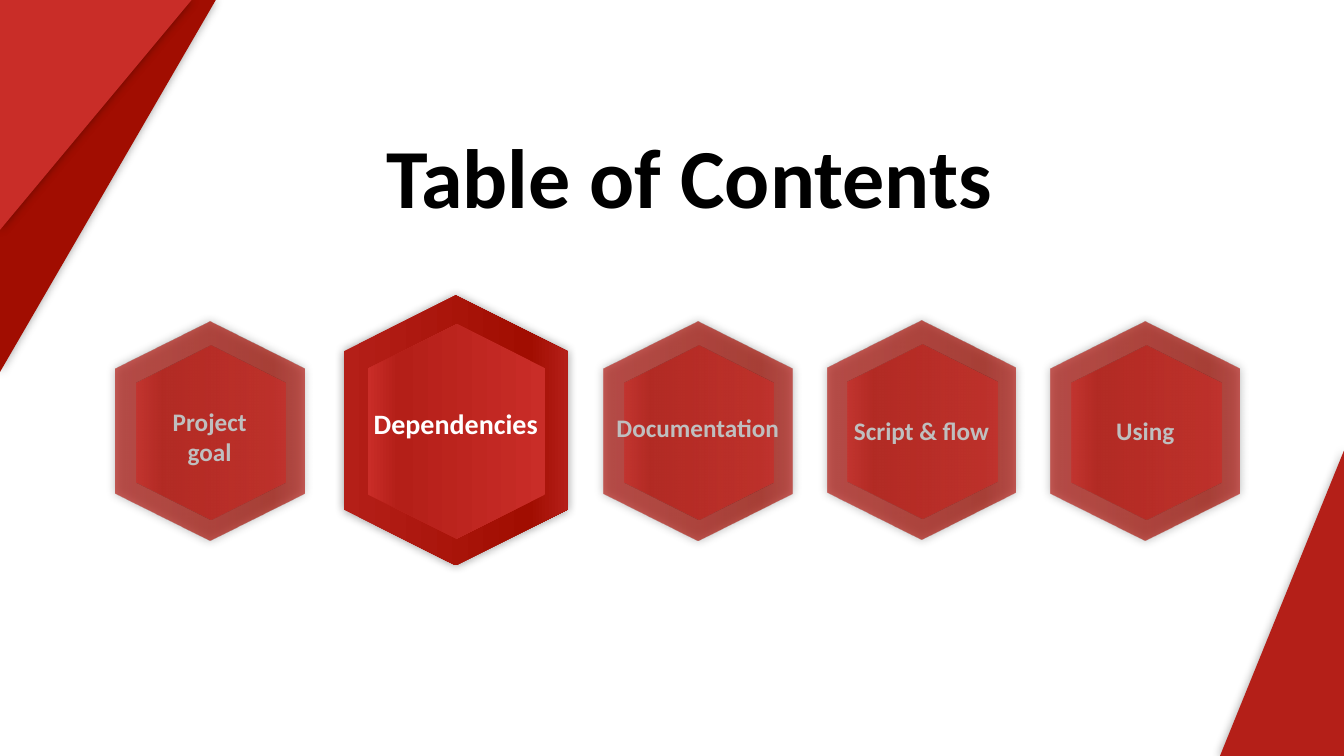
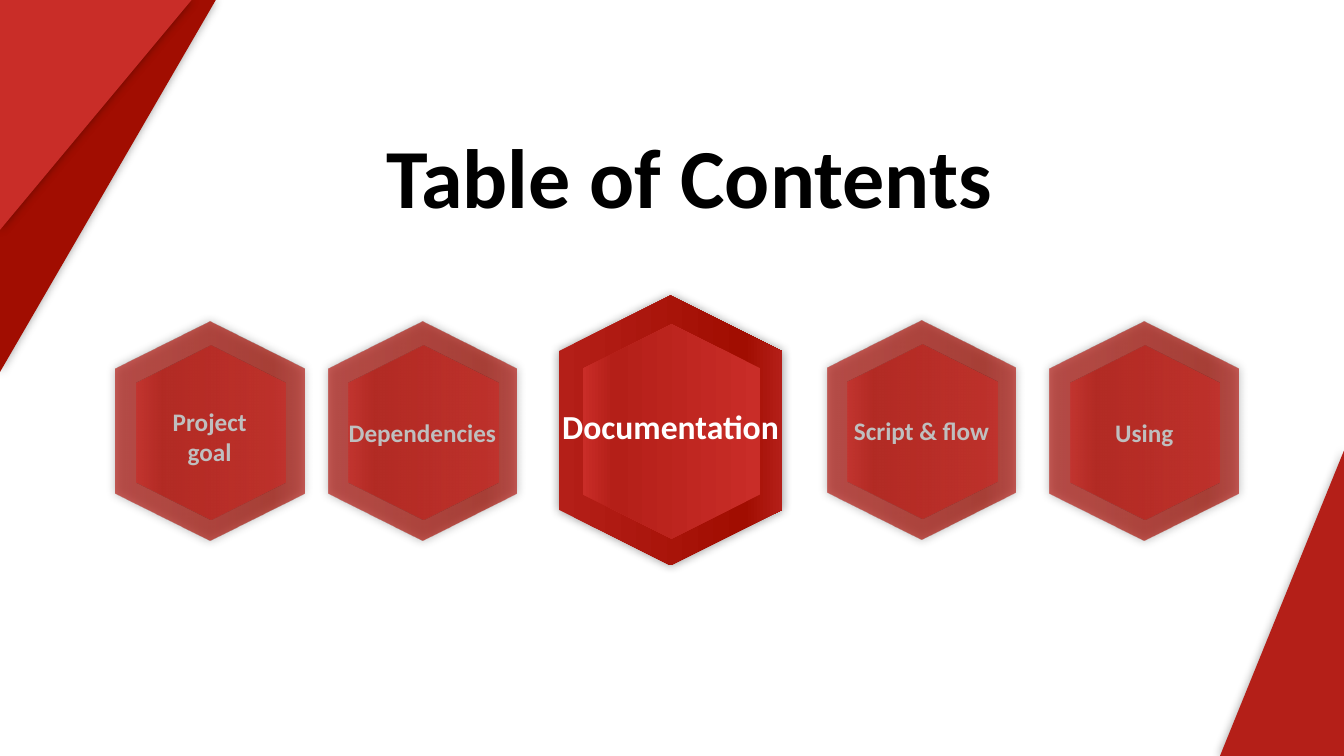
from lxml import etree
from pptx import Presentation
from pptx.dml.color import RGBColor
from pptx.enum.shapes import MSO_SHAPE
from pptx.enum.text import PP_ALIGN
from pptx.oxml.ns import qn
from pptx.util import Inches, Pt

HEXAGON = MSO_SHAPE.HEXAGON
TRIANGLE = MSO_SHAPE.ISOSCELES_TRIANGLE
CENTER = PP_ALIGN.CENTER

FONT = "Calibri"
COLORS = {
    "dark": "A10D01",
    "mid": "B41F18",
    "bright": "C92D28",
    "title": "000000",
    "active_text": "FFFFFF",
    "muted_text": "BFBFBF",
}

# Gradient pairs: edge colour, accent colour at 83 %
OUTER = ("mid", "dark")
INNER = ("bright", "mid")

# Hexagon sizes before rotation: (length, width)
ACTIVE_SIZES = ((2.68, 2.22), (2.13, 1.76))
MUTED_SIZES = ((2.17, 1.87), (1.72, 1.48))
INNER_SHIFT = 0.01

# Corner triangles: left, top, width, height, rotation, colour
CORNERS = [
    (0, 0, 2.14, 3.69, 180, "dark"),
    (0, 0, 1.9, 2.28, 180, "bright"),
    (12.1, 4.47, 1.23, 3.03, 0, "mid"),
]

# Agenda per slide: lines, centre x, centre y, text top, text size, active
PROJECT_GOAL = (["Project", "goal"], 2.08, 4.28, 3.98, 18, False)
AGENDAS = [
    [
        PROJECT_GOAL,
        (["Dependencies"], 4.52, 4.27, 3.98, 20, True),
        (["Documentation"], 6.92, 4.28, 4.04, 18, False),
        (["Script & flow"], 9.14, 4.27, 4.07, 18, False),
        (["Using"], 11.36, 4.28, 4.07, 18, False),
    ],
    [
        PROJECT_GOAL,
        (["Dependencies"], 4.19, 4.28, 4.09, 18, False),
        (["Documentation"], 6.65, 4.27, 3.98, 24, True),
        (["Script & flow"], 9.14, 4.27, 4.07, 18, False),
        (["Using"], 11.35, 4.28, 4.09, 18, False),
    ],
]


def add_red_shape(shapes, kind, box, rotation, colors, alpha=100, shadow=True):
    """Solid fill for one colour, gradient for an edge and accent pair."""
    shape = shapes.add_shape(kind, *[Inches(v) for v in box])
    shape.rotation = rotation
    shape.line.fill.background()
    shape.shadow.inherit = False
    properties = shape._element.spPr
    if len(colors) == 1:
        shape.fill.solid()
        shape.fill.fore_color.rgb = RGBColor.from_string(COLORS[colors[0]])
    else:
        shape.fill.background()
        gradient = etree.Element(qn("a:gradFill"), rotWithShape="1")
        stops = etree.SubElement(gradient, qn("a:gsLst"))
        edge, accent = colors
        for position, name in ((0, edge), (83, accent), (100, edge)):
            stop = etree.SubElement(stops, qn("a:gs"), pos=str(position * 1000))
            color = etree.SubElement(stop, qn("a:srgbClr"), val=COLORS[name])
            etree.SubElement(color, qn("a:alpha"), val=str(alpha * 1000))
        etree.SubElement(gradient, qn("a:lin"), ang="5400000", scaled="1")
        properties.replace(properties.find(qn("a:noFill")), gradient)
    if shadow:
        outer = etree.SubElement(properties.find(qn("a:effectLst")), qn("a:outerShdw"),
                                 blurRad=str(Inches(0.1)), dist="0", rotWithShape="0")
        black = etree.SubElement(outer, qn("a:srgbClr"), val="000000")
        etree.SubElement(black, qn("a:alpha"), val="40000")
    return shape


def add_label(shapes, lines, box, size, color):
    label = shapes.add_textbox(*[Inches(v) for v in box])
    frame = label.text_frame
    frame.word_wrap = False
    for index, line in enumerate(lines):
        paragraph = frame.paragraphs[0] if index == 0 else frame.add_paragraph()
        paragraph.alignment = CENTER
        run = paragraph.add_run()
        run.text = line
        run.font.name = FONT
        run.font.size = Pt(size)
        run.font.bold = True
        run.font.color.rgb = RGBColor.from_string(COLORS[color])


deck = Presentation()
deck.slide_width = Inches(13.33)
deck.slide_height = Inches(7.5)
blank = deck.slide_layouts[6]

for agenda in AGENDAS:
    slide = deck.slides.add_slide(blank)

    # Title
    add_label(slide.shapes, ["Table of Contents"], (3.7, 1.19, 6.27, 1.11), 60, "title")

    # Corner triangles
    for left, top, width, height, rotation, color in CORNERS:
        corner = add_red_shape(slide.shapes, TRIANGLE, (left, top, width, height),
                               rotation, [color])
        corner.adjustments[0] = 1

    # Agenda hexagons
    for lines, center_x, center_y, text_top, text_size, active in agenda:
        item = slide.shapes.add_group_shape().shapes
        sizes = ACTIVE_SIZES if active else MUTED_SIZES
        layers = zip(sizes, (270, 90), (OUTER, INNER), (0, INNER_SHIFT))
        for (length, width), rotation, colors, shift in layers:
            box = (center_x + shift - length / 2, center_y + shift - width / 2, length, width)
            add_red_shape(item, HEXAGON, box, rotation, colors,
                          alpha=100 if active else 70, shadow=colors == OUTER)
        text_width = 2.45 if active else 1.87
        text_height = 0.1 + len(lines) * text_size / 60
        add_label(item, lines, (center_x - text_width / 2, text_top, text_width, text_height),
                  text_size, "active_text" if active else "muted_text")

deck.save("out.pptx")
